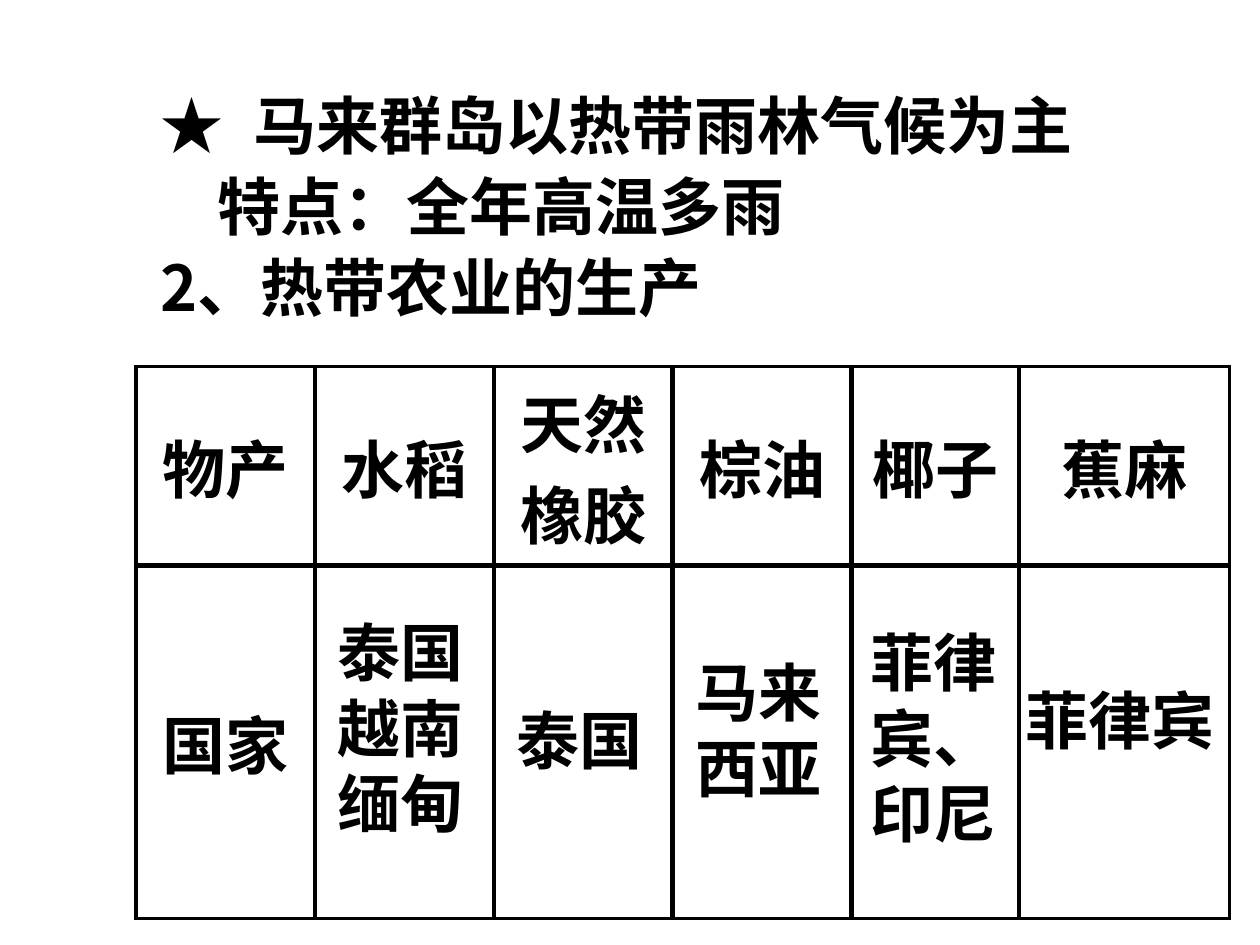
import dataclasses

import lxml.etree
import pptx
import pptx.dml.color
import pptx.enum.text
import pptx.oxml.ns
import pptx.util

Inches = pptx.util.Inches
Pt = pptx.util.Pt
qn = pptx.oxml.ns.qn


@dataclasses.dataclass(frozen=True)
class Theme:
    ink: str = "000000"
    text_font: str = "Noto Sans CJK SC"
    table_font: str = "Arial"
    size: float = 36
    body_leading: float = 38.8
    box_leading: float = 43.2
    table_leading: float = 52
    inner_border: float = 3
    outer_border: float = 2.25


class SlideBuilder:
    def __init__(self, slide, theme):
        self.slide = slide
        self.theme = theme

    def apply(self, target, values):
        for name, value in values.items():
            setattr(target, name, value)

    def add_text(self, paragraph, text, font_name, paragraph_format):
        self.apply(paragraph, paragraph_format)
        run = paragraph.add_run()
        run.text = text
        self.apply(run.font, {"name": font_name, "size": Pt(self.theme.size), "bold": True})
        run.font.color.rgb = pptx.dml.color.RGBColor.from_string(self.theme.ink)
        east_asian = lxml.etree.SubElement(run.font._element, qn("a:ea"))
        east_asian.set("typeface", self.theme.text_font)

    def paragraphs(self, text_frame, count):
        for _ in range(count - 1):
            text_frame.add_paragraph()
        return text_frame.paragraphs

    def body(self, position, lines):
        title = self.slide.shapes.title.element
        title.getparent().remove(title)
        shape = self.slide.placeholders[1]
        self.apply(shape, dict(zip(("left", "top", "width", "height"), map(Inches, position))))
        self.apply(shape.text_frame, {
            "margin_top": 0,
            "vertical_anchor": pptx.enum.text.MSO_ANCHOR.TOP,
            "auto_size": pptx.enum.text.MSO_AUTO_SIZE.NONE,
        })
        paragraph_format = {
            "line_spacing": Pt(self.theme.body_leading),
            "space_before": Pt(7.5),
        }
        paragraphs = self.paragraphs(shape.text_frame, len(lines))
        for paragraph, (text, margin, indent) in zip(paragraphs, lines):
            self.add_text(paragraph, text, self.theme.text_font, paragraph_format)
            properties = paragraph._p.get_or_add_pPr()
            properties.set("marL", str(Inches(margin)))
            properties.set("indent", str(Inches(indent)))
            lxml.etree.SubElement(properties, qn("a:buNone"))

    def text_box(self, position, lines, wrap):
        shape = self.slide.shapes.add_textbox(*map(Inches, position))
        self.apply(shape.text_frame, {
            "word_wrap": wrap,
            "auto_size": pptx.enum.text.MSO_AUTO_SIZE.SHAPE_TO_FIT_TEXT,
            "margin_top": Inches(0.1),
            "margin_bottom": 0,
        })
        paragraph_format = {"line_spacing": Pt(self.theme.box_leading)}
        for paragraph, text in zip(self.paragraphs(shape.text_frame, len(lines)), lines):
            self.add_text(paragraph, text, self.theme.text_font, paragraph_format)

    def border(self, cell, side, width):
        line = lxml.etree.SubElement(cell._tc.get_or_add_tcPr(), qn("a:ln" + side))
        line.set("w", str(Pt(width)))
        fill = lxml.etree.SubElement(line, qn("a:solidFill"))
        lxml.etree.SubElement(fill, qn("a:srgbClr")).set("val", self.theme.ink)

    def table(self, left, top, column_widths, row_heights, rows):
        table = self.slide.shapes.add_table(
            len(row_heights), len(column_widths), Inches(left), Inches(top),
            Inches(sum(column_widths)), Inches(sum(row_heights)),
        ).table
        self.apply(table, {"first_row": False, "horz_banding": False})
        for column, width in zip(table.columns, column_widths):
            column.width = Inches(width)
        for row, height in zip(table.rows, row_heights):
            row.height = Inches(height)
        paragraph_format = {
            "alignment": pptx.enum.text.PP_ALIGN.CENTER,
            "line_spacing": Pt(self.theme.table_leading),
        }
        for row_index, texts in enumerate(rows):
            for column_index, text in enumerate(texts):
                cell = table.cell(row_index, column_index)
                cell.vertical_anchor = pptx.enum.text.MSO_ANCHOR.MIDDLE
                outer = {
                    "L": False,
                    "R": column_index == len(column_widths) - 1,
                    "T": row_index == 0,
                    "B": row_index == len(row_heights) - 1,
                }
                for side, is_outer in outer.items():
                    width = self.theme.outer_border if is_outer else self.theme.inner_border
                    self.border(cell, side, width)
                cell.fill.background()
                if text:
                    self.add_text(cell.text_frame.paragraphs[0], text,
                                  self.theme.table_font, paragraph_format)


def main():
    presentation = pptx.Presentation()
    presentation.slide_width = Inches(10)
    presentation.slide_height = Inches(7.5)
    slide = presentation.slides.add_slide(presentation.slide_layouts[1])
    builder = SlideBuilder(slide, Theme())

    builder.body((1.17, 0.75, 8.5, 6.67), [
        ("★\t马来群岛以热带雨林气候为主", 0.74, -0.74),
        ("特点：全年高温多雨", 0.46, 0),
        ("2、热带农业的生产", 0.19, -0.19),
    ])
    products = ["物产", "水稻", "天然橡胶", "棕油", "椰子", "蕉麻"]
    countries = ["国家"] + [""] * (len(products) - 1)
    builder.table(1.08, 2.91, [1.42] * 4 + [1.33, 1.67], [1.58, 2.8], [products, countries])

    producers = [
        ((2.58, 4.77, 1.2, 1.9), ["泰国", "越南", "缅甸"], False),
        ((4, 5.47, 1.2, 0.7), ["泰国"], False),
        ((5.42, 5.09, 1.25, 1.3), ["马来西亚"], True),
        ((6.81, 4.85, 1.25, 1.9), ["菲律宾、印尼"], True),
        ((8.04, 5.31, 1.71, 0.7), ["菲律宾"], False),
    ]
    for position, lines, wrap in producers:
        builder.text_box(position, lines, wrap)

    presentation.save("out.pptx")


if __name__ == "__main__":
    main()
